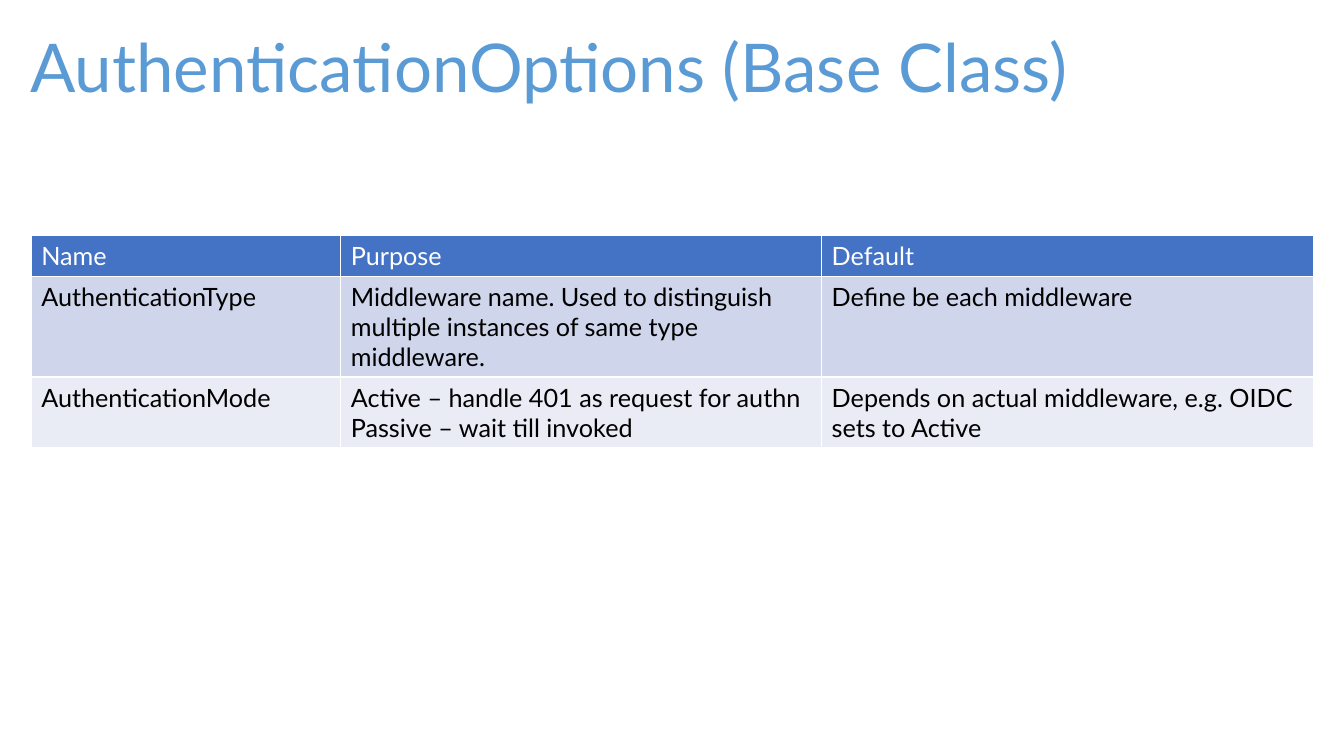
from lxml.etree import SubElement
from pptx import Presentation
from pptx.dml.color import RGBColor
from pptx.enum.text import MSO_ANCHOR, MSO_AUTO_SIZE, PP_ALIGN
from pptx.oxml.ns import qn
from pptx.util import Pt

EMU_PER_PX = 9144
FONT = "Lato"
WHITE = "FFFFFF"
HEADER_FILL = "4472C4"
BAND_FILLS = ["CFD5EA", "E9EBF5"]
COLUMN_WIDTHS = [307, 477, 488]
ROW_HEIGHTS = [40, 69, 69]
OPTIONS = [
    ["Name", "Purpose", "Default"],
    [
        "AuthenticationType",
        "Middleware name. Used to distinguish multiple instances of same type middleware.",
        "Define be each middleware",
    ],
    [
        "AuthenticationMode",
        "Active – handle 401 as request for authn\nPassive – wait till invoked",
        "Depends on actual middleware, e.g. OIDC sets to Active",
    ],
]


def px(length):
    return length * EMU_PER_PX


def color(hex_code):
    return RGBColor.from_string(hex_code)


def write(frame, text, size=18, ink="000000", line_spacing=None):
    frame.text = text
    for paragraph in frame.paragraphs:
        paragraph.alignment = PP_ALIGN.LEFT
        paragraph.line_spacing = line_spacing
        for run in paragraph.runs:
            run.font.name = FONT
            run.font.size = Pt(size)
            run.font.bold = False
            run.font.color.rgb = color(ink)


def add_borders(cell, width=1):
    properties = cell._tc.get_or_add_tcPr()
    for side in ("a:lnL", "a:lnR", "a:lnT", "a:lnB"):
        border = SubElement(properties, qn(side), w=str(Pt(width)))
        fill = SubElement(border, qn("a:solidFill"))
        SubElement(fill, qn("a:srgbClr"), val=WHITE)


def place_heading(slide, left, top, width, height):
    heading = slide.shapes.title
    heading.left, heading.top = px(left), px(top)
    heading.width, heading.height = px(width), px(height)
    frame = heading.text_frame
    frame.word_wrap = True
    frame.auto_size = MSO_AUTO_SIZE.NONE
    frame.vertical_anchor = MSO_ANCHOR.MIDDLE
    write(frame, "AuthenticationOptions (Base Class)", size=48, ink="5B9BD5", line_spacing=0.9)


def place_options(slide, left, top):
    options = slide.shapes.add_table(
        len(OPTIONS), len(COLUMN_WIDTHS), px(left), px(top),
        px(sum(COLUMN_WIDTHS)), px(sum(ROW_HEIGHTS)),
    ).table
    for column, width in zip(options.columns, COLUMN_WIDTHS):
        column.width = px(width)
    for index, (row, height, texts) in enumerate(zip(options.rows, ROW_HEIGHTS, OPTIONS)):
        row.height = px(height)
        is_header = index == 0
        for cell, text in zip(row.cells, texts):
            add_borders(cell)
            cell.fill.solid()
            cell.fill.fore_color.rgb = color(HEADER_FILL if is_header else BAND_FILLS[index - 1])
            write(cell.text_frame, text, ink=WHITE if is_header else "000000")


def main():
    deck = Presentation()
    deck.slide_width, deck.slide_height = px(1333), px(750)
    slide = deck.slides.add_slide(deck.slide_layouts[5])
    slide.background.fill.solid()
    slide.background.fill.fore_color.rgb = color(WHITE)
    place_heading(slide, 20, 20, 1299, 100)
    place_options(slide, 31, 234)
    deck.save("out.pptx")


if __name__ == "__main__":
    main()
